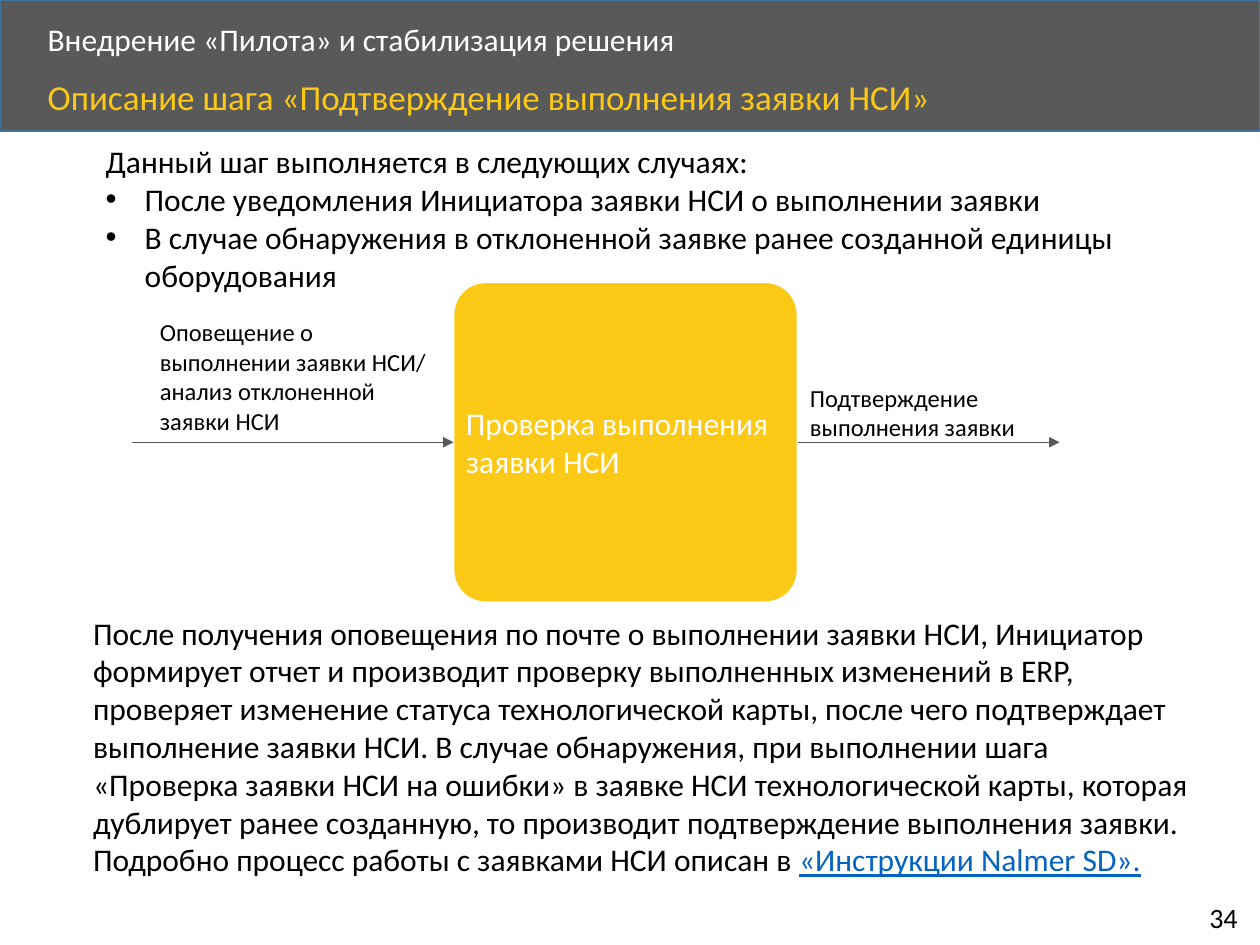
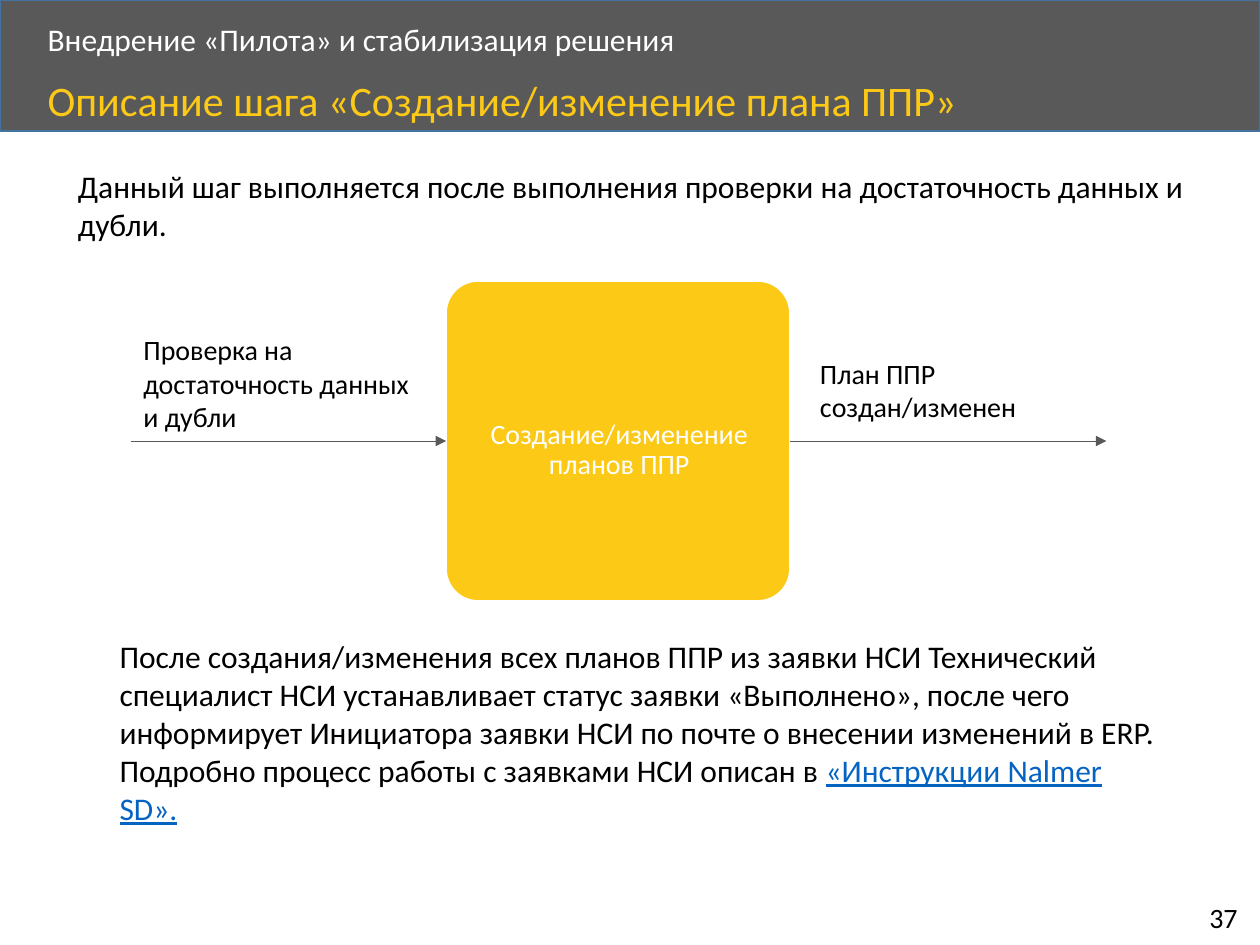
from pptx import Presentation
from pptx.dml.color import RGBColor as RGB
from pptx.enum.shapes import MSO_CONNECTOR as Link, MSO_SHAPE as Form
from pptx.enum.text import MSO_ANCHOR as Anchor, PP_ALIGN as Align
from pptx.oxml.ns import qn
from pptx.util import Inches, Pt
from lxml import etree

GREY, GOLD, WHITE, BLACK = "595959", "FCC917", "FFFFFF", "000000"
EDGE, BLUE = "43739E", "0563C1"
FONT = "Calibri"
GUIDE = "«Инструкции Nalmer SD»."


def color(code):
    return RGB.from_string(code)


def add_mark(para, indent):
    """Give a paragraph a round bullet with a hanging indent."""
    props = para._p.get_or_add_pPr()
    props.set("marL", str(Inches(indent)))
    props.set("indent", str(-Inches(indent)))
    font = etree.SubElement(props, qn("a:buFont"))
    font.set("typeface", "Arial")
    etree.SubElement(props, qn("a:buChar")).set("char", "•")


def write(frame, text, size=18, ink=BLACK, align=Align.LEFT, line=None,
          marks=(), link=None):
    """Fill a frame line by line; link is an underlined ending."""
    for i, part in enumerate(text.split("\n")):
        para = frame.paragraphs[0] if i == 0 else frame.add_paragraph()
        if i in marks:
            add_mark(para, 0.31)
        para.alignment = align
        if line:
            para.line_spacing = line
        runs = [(part, ink)]
        if link:
            runs.append((link, BLUE))
        for words, tint in runs:
            run = para.add_run()
            run.text = words
            run.font.name, run.font.size = FONT, Pt(size)
            run.font.color.rgb = color(tint)
            if tint == BLUE:
                run.font.underline = True


class Deck:
    def __init__(self):
        self.prs = Presentation()
        self.prs.slide_width, self.prs.slide_height = Inches(10), Inches(7.5)
        self.shapes = None

    def page(self, title, number, size):
        """Start a slide with the shared band, titles and number."""
        blank = self.prs.slide_layouts[6]
        self.shapes = self.prs.slides.add_slide(blank).shapes
        self.block(Form.RECTANGLE, (0, 0, 10, 1.04), GREY, EDGE)
        self.text((0.28, 0.14, 8.07, 0.38),
                  "Внедрение «Пилота» и стабилизация решения",
                  ink=WHITE, line=0.9, anchor=Anchor.MIDDLE)
        self.text((0.28, 0.59, 8.67, 0.45), title, size=size, ink=GOLD,
                  line=0.9)
        self.text((9.5, 7.1, 0.46, 0.37), str(number), size=16, wrap=False)

    def block(self, form, area, fill, edge):
        shape = self.shapes.add_shape(form, *map(Inches, area))
        shape.shadow.inherit = False
        shape.fill.solid()
        shape.fill.fore_color.rgb = color(fill)
        shape.line.color.rgb = color(edge)
        shape.line.width = Pt(1)
        return shape

    def text(self, area, words, anchor=Anchor.TOP, wrap=True, inset=None,
             **style):
        frame = self.shapes.add_textbox(*map(Inches, area)).text_frame
        frame.word_wrap = wrap
        frame.vertical_anchor = anchor
        if inset is not None:
            frame.margin_left = frame.margin_right = Inches(inset)
            frame.margin_top = frame.margin_bottom = Inches(inset)
        write(frame, words, **style)

    def arrow(self, start, end):
        line = self.shapes.add_connector(Link.STRAIGHT,
                                         *map(Inches, start + end))
        line.line.color.rgb = color(GREY)
        line.line.width = Pt(0.5)
        tip = etree.SubElement(line.line._get_or_add_ln(), qn("a:tailEnd"))
        tip.set("type", "triangle")
        etree.SubElement(line._element.spPr, qn("a:effectLst"))

    def step(self, left, top, start, end):
        """Draw the step box with an arrow in and an arrow out."""
        wide, high = 2.73, 2.54
        box = self.block(Form.ROUNDED_RECTANGLE, (left, top, wide, high),
                         GOLD, WHITE)
        box.adjustments[0] = 0.1
        mid = top + high / 2
        self.arrow((start, mid), (left, mid))
        self.arrow((left + wide, mid), (end, mid))


def main():
    deck = Deck()

    # Confirming the request
    deck.page("Описание шага «Подтверждение выполнения заявки НСИ»", 34, 20)
    deck.text((0.74, 1.08, 8.75, 1.31),
              "Данный шаг выполняется в следующих случаях:\n"
              "После уведомления Инициатора заявки НСИ о выполнении заявки\n"
              "В случае обнаружения в отклоненной заявке ранее созданной "
              "единицы оборудования", marks=(1, 2))
    deck.step(3.6, 2.24, 1.05, 8.41)
    deck.text((3.6, 2.24, 2.73, 2.54), "Проверка выполнения заявки НСИ",
              ink=WHITE, anchor=Anchor.MIDDLE)
    deck.text((1.17, 2.47, 2.31, 1.04),
              "Оповещение о выполнении заявки НСИ/ анализ отклоненной "
              "заявки НСИ", size=14)
    deck.text((6.33, 2.99, 1.88, 0.57), "Подтверждение выполнения заявки",
              size=14)
    deck.text((0.64, 4.82, 8.95, 2.52),
              "После получения оповещения по почте о выполнении заявки НСИ, "
              "Инициатор формирует отчет и производит проверку выполненных "
              "изменений в ERP, проверяет изменение статуса технологической "
              "карты, после чего подтверждает выполнение заявки НСИ. В случае "
              "обнаружения, при выполнении шага «Проверка заявки НСИ на "
              "ошибки» в заявке НСИ технологической карты, которая дублирует "
              "ранее созданную, то производит подтверждение выполнения "
              "заявки. Подробно процесс работы c заявками НСИ описан в ",
              link=GUIDE)

    # Creating or changing the plan
    deck.page("Описание шага «Создание/изменение плана ППР»", 37, 24)
    deck.text((0.52, 1.28, 8.99, 0.71),
              "Данный шаг выполняется после выполнения проверки на "
              "достаточность данных и дубли.")
    deck.step(3.54, 2.23, 1.04, 8.78)
    deck.text((3.61, 2.38, 2.61, 2.39), "Создание/изменение планов ППР",
              size=16, ink=WHITE, align=Align.CENTER, line=0.9,
              anchor=Anchor.MIDDLE, inset=0.01)
    deck.text((1.04, 2.59, 2.45, 0.91),
              "Проверка на достаточность данных и дубли", size=16)
    deck.text((6.41, 2.78, 2.23, 0.64), "План ППР создан/изменен", size=16)
    deck.text((0.85, 5.01, 8.51, 1.92),
              "После создания/изменения всех планов ППР из заявки НСИ "
              "Технический специалист НСИ устанавливает статус заявки "
              "«Выполнено», после чего информирует Инициатора заявки НСИ по "
              "почте о внесении изменений в ERP. Подробно процесс работы c "
              "заявками НСИ описан в ", link=GUIDE)

    deck.prs.save("out.pptx")


if __name__ == "__main__":
    main()
